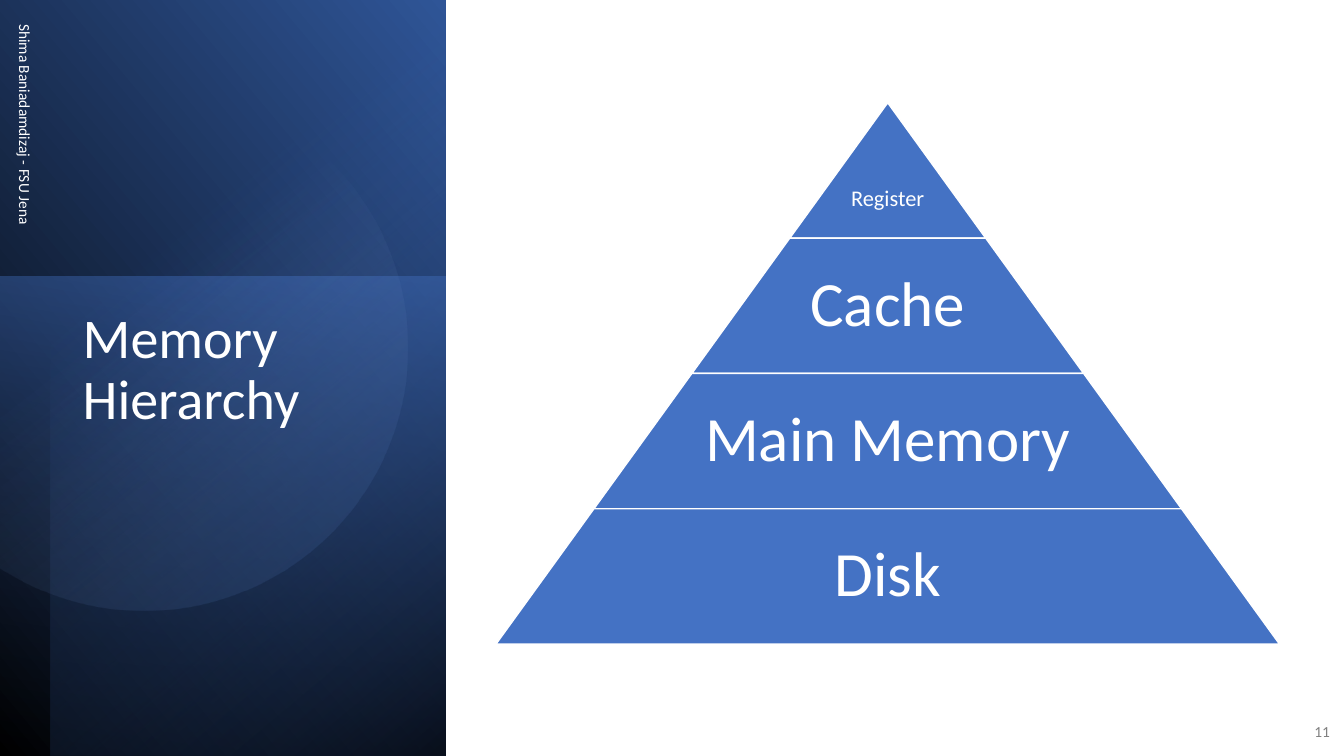
import math

from pptx import Presentation
from pptx.dml.color import RGBColor
from pptx.enum.shapes import MSO_SHAPE
from pptx.enum.text import MSO_ANCHOR, MSO_AUTO_SIZE, PP_ALIGN
from pptx.oxml import parse_xml
from pptx.oxml.ns import nsdecls, qn
from pptx.util import Inches, Pt

RECT, TRAPEZOID = MSO_SHAPE.RECTANGLE, MSO_SHAPE.TRAPEZOID
TOP, MIDDLE = MSO_ANCHOR.TOP, MSO_ANCHOR.MIDDLE
LEFT, CENTER, RIGHT = PP_ALIGN.LEFT, PP_ALIGN.CENTER, PP_ALIGN.RIGHT
FONT = "Calibri"
COLORS = {"white": "FFFFFF", "gray": "808080", "black": "000000", "blue": "4472C4",
          "deep": "2F5597", "navy": "203864", "pale": "8FAADC"}

TITLE = "Memory Hierarchy"
AUTHOR = "Shima Baniadamdizaj - FSU Jena"
PAGE = "11"
# name, text size, line spacing
LEVELS = [("Register", 16, 3), ("Cache", 45, 0.9), ("Main Memory", 45, 0.9), ("Disk", 45, 0.9)]
# box, rotation, flipped, gradient angle, stops (position, color, opacity)
PANELS = [
    ((-1.55, 1.55, 7.52, 4.42), 90, True, 310, [(0, "black", 100), (100, "deep", 100)]),
    ((-0.17, 2.91, 4.76, 4.42), 270, False, 190, [(0, "blue", 50), (100, "navy", 0)]),
    ((-1.29, 1.79, 7.5, 3.92), 270, True, 220, [(0, "black", 59), (69, "blue", 0)]),
]
DISC_X, DISC_Y, DISC_R = 1.43, 3.45, 2.61
DISC_ANGLE, DISC_STOPS = 52, [(39, "pale", 0), (100, "deep", 26)]
PYRAMID_X, PYRAMID_Y, PYRAMID_W, PYRAMID_H = 4.92, 1.02, 7.77, 5.37


def rgb(name):
    return RGBColor.from_string(COLORS[name])


def fill_gradient(sp, angle, stops):
    """Fill with a linear gradient whose stops carry opacity; no outline or shadow."""
    gs = "".join(
        f'<a:gs pos="{pos * 1000}"><a:srgbClr val="{COLORS[color]}">'
        f'<a:alpha val="{opacity * 1000}"/></a:srgbClr></a:gs>'
        for pos, color, opacity in stops)
    sp.fill.gradient()
    spPr = sp.element.spPr
    spPr.replace(spPr.find(qn("a:gradFill")), parse_xml(
        f'<a:gradFill {nsdecls("a")} rotWithShape="1"><a:gsLst>{gs}</a:gsLst>'
        f'<a:lin ang="{angle * 60000}" scaled="0"/></a:gradFill>'))
    sp.line.fill.background()
    sp.shadow.inherit = False


def write(sp, text, size, color="white", align=LEFT, anchor=MIDDLE, spacing=1.0):
    tf = sp.text_frame
    tf.word_wrap = True
    tf.auto_size = MSO_AUTO_SIZE.NONE
    tf.vertical_anchor = anchor
    p = tf.paragraphs[0]
    p.alignment, p.line_spacing = align, spacing
    r = p.add_run()
    r.text = text
    r.font.name, r.font.size = FONT, Pt(size)
    r.font.color.rgb = rgb(color)
    return tf


def add_panels(s):
    for box, rotation, flipped, angle, stops in PANELS:
        sp = s.shapes.add_shape(RECT, *map(Inches, box))
        sp.rotation = rotation
        if flipped:
            sp.element.spPr.get_or_add_xfrm().set("flipH", "1")
        fill_gradient(sp, angle, stops)


def add_disc(s):
    """Circle cut off at the left slide edge."""
    cut = math.acos(-DISC_X / DISC_R)
    steps = 120
    turns = [cut * (2 * i / steps - 1) for i in range(steps + 1)]
    points = [(Inches(DISC_X + DISC_R * math.cos(t)), Inches(DISC_Y + DISC_R * math.sin(t)))
              for t in turns]
    builder = s.shapes.build_freeform(*points[0])
    builder.add_line_segments(points[1:], close=True)
    fill_gradient(builder.convert_to_shape(), DISC_ANGLE, DISC_STOPS)


def add_pyramid(s):
    step_w, step_h = PYRAMID_W / len(LEVELS), PYRAMID_H / len(LEVELS)
    for i, (name, size, spacing) in enumerate(LEVELS):
        w = step_w * (i + 1)
        box = [Inches(v) for v in
               (PYRAMID_X + (PYRAMID_W - w) / 2, PYRAMID_Y + step_h * i, w, step_h)]
        sp = s.shapes.add_shape(TRAPEZOID, *box)
        sp.adjustments[0] = step_w / 2 / step_h
        sp.fill.solid()
        sp.fill.fore_color.rgb = rgb("blue")
        sp.line.color.rgb = rgb("white")
        sp.line.width = Pt(1)
        sp.shadow.inherit = False
        tf = write(s.shapes.add_textbox(*box), name, size, align=CENTER, spacing=spacing)
        inset = Inches(size / 750)
        tf.margin_left = tf.margin_right = tf.margin_top = tf.margin_bottom = inset


def main():
    prs = Presentation()
    prs.slide_width, prs.slide_height = Inches(13.33), Inches(7.5)
    s = prs.slides.add_slide(prs.slide_layouts[5])
    add_panels(s)
    add_disc(s)

    title = s.shapes.title
    title.left, title.top, title.width, title.height = map(Inches, (0.72, 3.03, 3.15, 3.36))
    write(title, TITLE, 40, anchor=TOP, spacing=0.9)
    s.shapes.element.append(title.element)  # bring in front of the panels

    author = s.shapes.add_textbox(*map(Inches, (-2, 2.19, 4.5, 0.4)))
    author.rotation = 90
    write(author, AUTHOR, 11).paragraphs[0].space_after = Pt(6)
    page = s.shapes.add_textbox(*map(Inches, (12.8, 7.06, 0.49, 0.4)))
    write(page, PAGE, 11, "gray", RIGHT).paragraphs[0].space_after = Pt(6)

    add_pyramid(s)
    prs.save("out.pptx")


if __name__ == "__main__":
    main()
